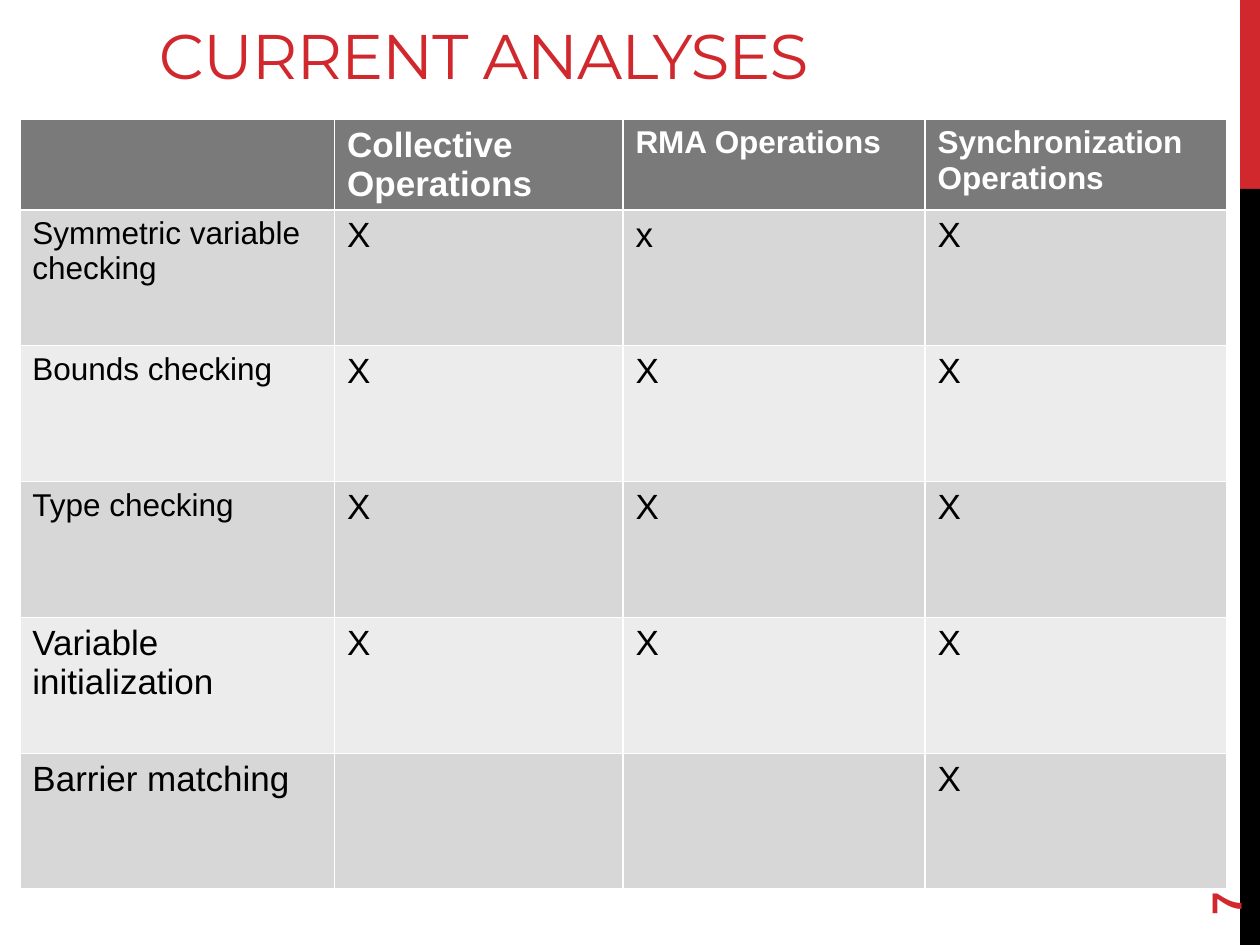
from pptx import Presentation
from pptx.dml.color import RGBColor
from pptx.enum.shapes import MSO_SHAPE
from pptx.enum.text import MSO_ANCHOR, PP_ALIGN
from pptx.util import Cm, Pt

RED, BLACK, WHITE = "D1282E", "000000", "FFFFFF"
HEADER_GRAY, ROW_GRAYS = "7A7A7A", ("D7D7D7", "ECECEC")
COLUMN_WEIGHTS = (2.5, 2.29, 2.4, 2.4)
HEADER_HEIGHT = 1.57
ROWS = [
    [("", 20), ("Collective Operations", 20), ("RMA Operations", 18),
     ("Synchronization Operations", 18)],
    [("Symmetric variable checking", 18), ("X", 20), ("x", 20), ("X", 20)],
    [("Bounds checking", 18), ("X", 20), ("X", 20), ("X", 20)],
    [("Type checking", 18), ("X", 20), ("X", 20), ("X", 20)],
    [("Variable initialization", 20), ("X", 20), ("X", 20), ("X", 20)],
    [("Barrier matching", 20), ("", 20), ("", 20), ("X", 20)],
]


def set_color(color_owner, color):
    if hasattr(color_owner, "solid"):
        color_owner.solid()
        color_owner.fore_color.rgb = RGBColor.from_string(color)
    else:
        color_owner.color.rgb = RGBColor.from_string(color)


def format_text(text_frame, size, color, bold=False, font_name="Arial"):
    for paragraph in text_frame.paragraphs:
        paragraph.alignment = PP_ALIGN.LEFT
        for run in paragraph.runs:
            run.font.name = font_name
            run.font.size = Pt(size)
            run.font.bold = bold
            set_color(run.font, color)


def add_sidebar(slide, left, top, width, height):
    red_height = height / 5
    bands = ((top, red_height, RED), (top + red_height, height - red_height, BLACK))
    for band_top, band_height, color in bands:
        shape = slide.shapes.add_shape(
            MSO_SHAPE.RECTANGLE, Cm(left), Cm(band_top), Cm(width), Cm(band_height))
        shape.shadow.inherit = False
        set_color(shape.fill, color)
        shape.line.fill.background()


def place_title(slide, left, top, width, height):
    title = slide.shapes.title
    title.left, title.top = Cm(left), Cm(top)
    title.width, title.height = Cm(width), Cm(height)
    title.text_frame.text = "CURRENT ANALYSES"
    title.text_frame.vertical_anchor = MSO_ANCHOR.BOTTOM
    format_text(title.text_frame, 36, RED, font_name="Montserrat")
    for run in title.text_frame.paragraphs[0].runs:
        run.font._element.set("spc", "-60")


def add_slide_number(slide, left, top, width, height):
    text_box = slide.shapes.add_textbox(Cm(left), Cm(top), Cm(width), Cm(height))
    text_box.rotation = 270
    text_frame = text_box.text_frame
    text_frame.word_wrap = True
    text_frame.vertical_anchor = MSO_ANCHOR.MIDDLE
    text_frame.text = "7"
    format_text(text_frame, 24, RED, bold=True)


def add_analysis_table(slide, left, top, width, height):
    table = slide.shapes.add_table(
        len(ROWS), len(COLUMN_WEIGHTS), Cm(left), Cm(top), Cm(width), Cm(height)).table
    for column, weight in zip(table.columns, COLUMN_WEIGHTS):
        column.width = Cm(width * weight / sum(COLUMN_WEIGHTS))
    body_height = (height - HEADER_HEIGHT) / (len(ROWS) - 1)
    for row_index, entries in enumerate(ROWS):
        is_header = row_index == 0
        table.rows[row_index].height = Cm(HEADER_HEIGHT if is_header else body_height)
        for column_index, (text, size) in enumerate(entries):
            cell = table.cell(row_index, column_index)
            cell.text_frame.text = text
            format_text(cell.text_frame, size, WHITE if is_header else BLACK, is_header)
            set_color(cell.fill, HEADER_GRAY if is_header else ROW_GRAYS[(row_index - 1) % 2])


def build_table_slide(presentation):
    slide = presentation.slides.add_slide(presentation.slide_layouts[5])
    add_sidebar(slide, 25, 0, 0.4, 19.05)
    place_title(slide, 2.95, -0.3, 19.71, 2.28)
    add_analysis_table(slide, 0.4, 2.4, 24.34, 15.27)
    add_slide_number(slide, 22.86, 16.36, 3.66, 1.02)


presentation = Presentation()
presentation.slide_width, presentation.slide_height = Cm(25.4), Cm(19.05)
build_table_slide(presentation)
presentation.save("out.pptx")
